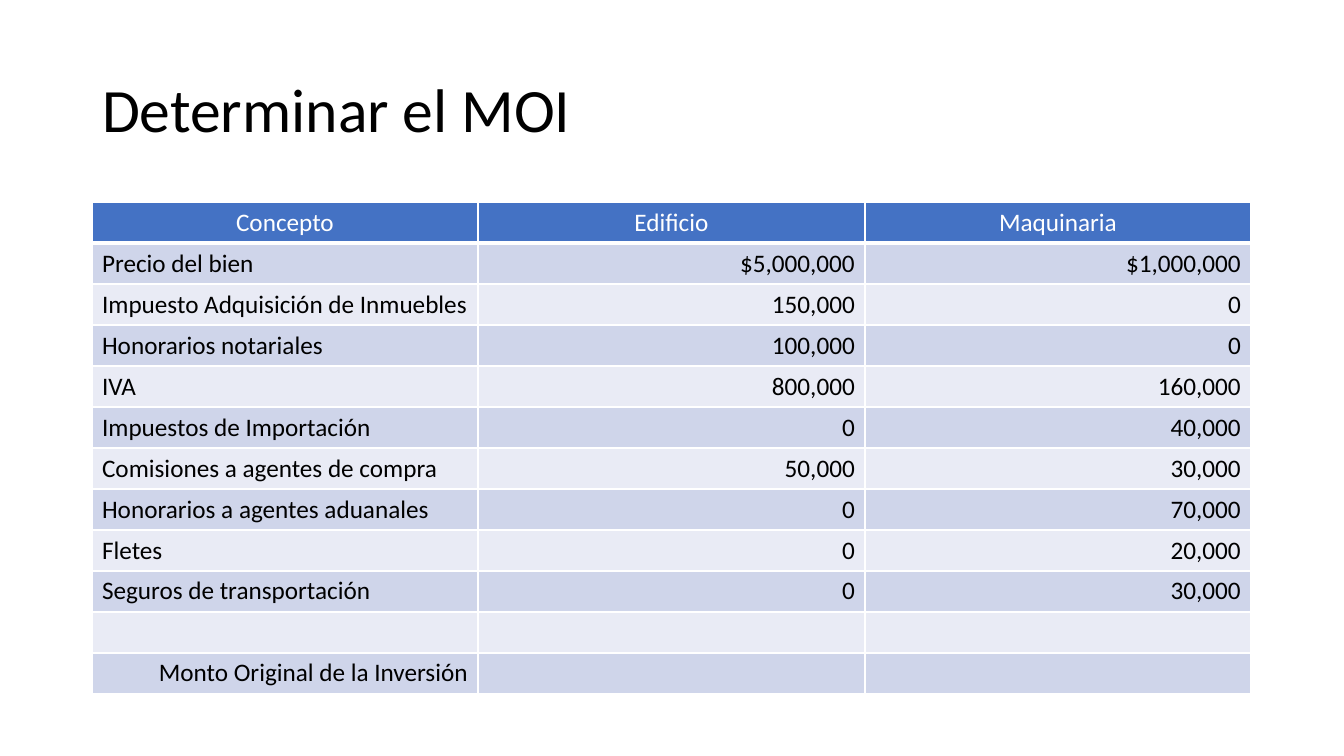
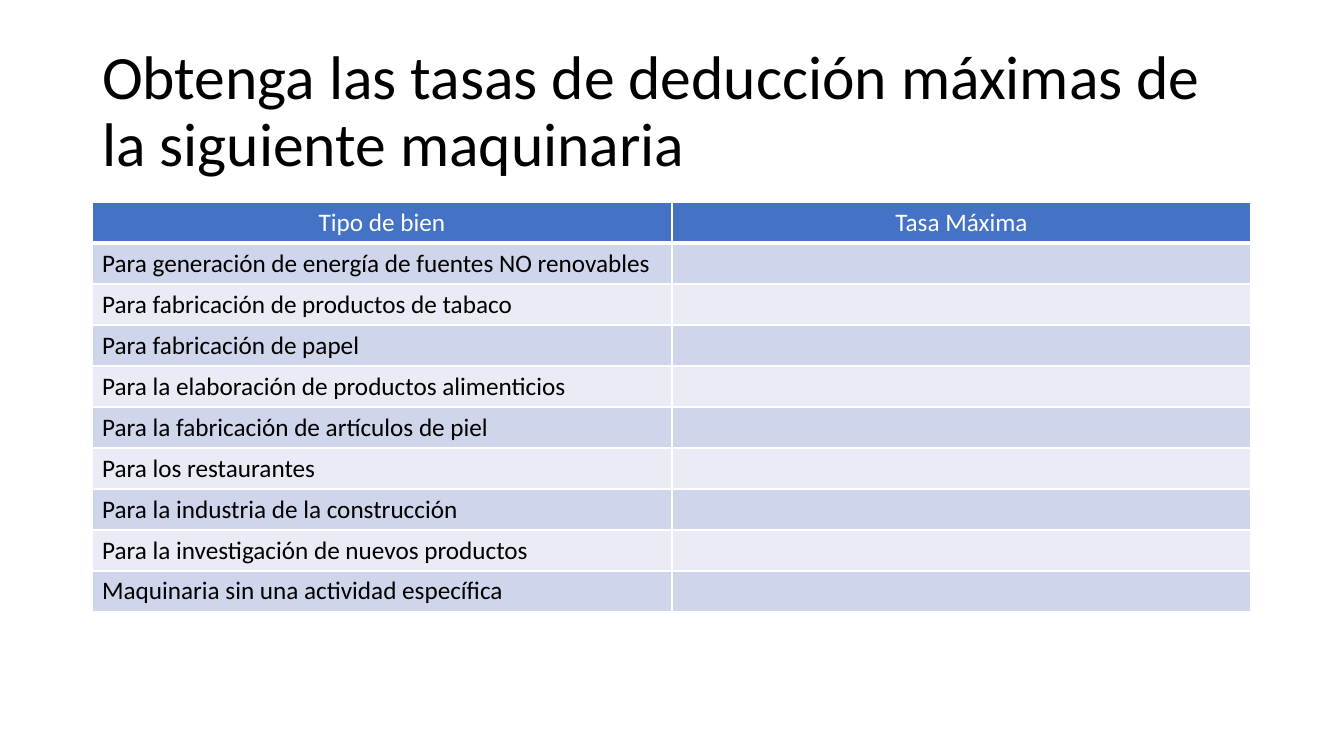
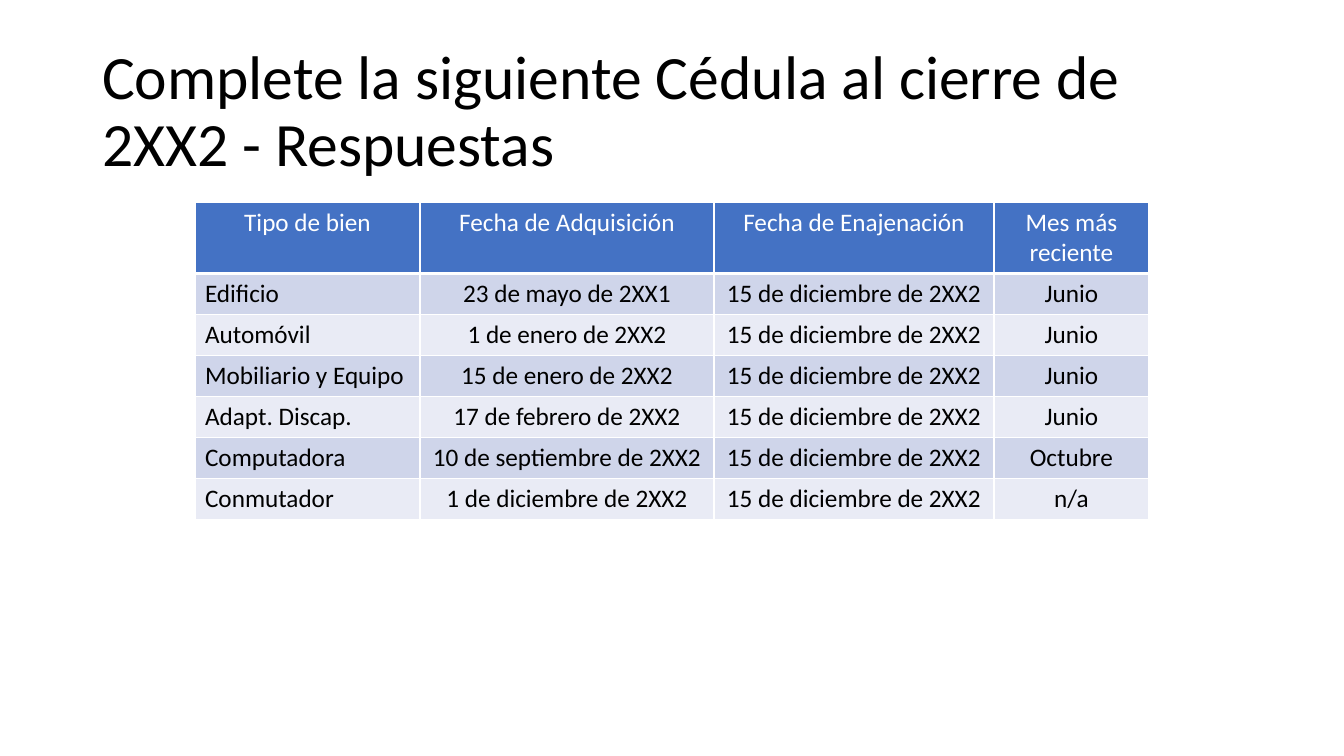
from dataclasses import dataclass
from lxml.etree import SubElement
from pptx import Presentation
from pptx.dml.color import RGBColor as Rgb
from pptx.enum.text import MSO_ANCHOR as Anchor, MSO_AUTO_SIZE as AutoSize, PP_ALIGN as Align
from pptx.oxml.ns import qn
from pptx.util import Pt

EMU_PER_PX = 914400 / 100.8
TITLE_ONLY = 5


def px(length):
    return round(length * EMU_PER_PX)


def apply(target, formats):
    for name, value in formats.items():
        setattr(target, name, value)


@dataclass(frozen=True)
class Theme:
    font: str = "Calibri"
    title_size: int = 44
    table_size: int = 18
    text: str = "000000"
    header_text: str = "FFFFFF"
    header_fill: str = "4472C4"
    bands: tuple = ("CFD5EA", "E9EBF5")
    grid: str = "FFFFFF"
    grid_width: int = 1
    header_rule: int = 3


class Deck:
    title_box = (92, 40, 1159, 146)
    table_top = 202
    row_height = 41

    def __init__(self, theme):
        self.theme = theme
        self.presentation = Presentation()
        apply(self.presentation, {"slide_width": px(1344), "slide_height": px(756)})
        self.slide = None

    def style_font(self, font, size, color):
        apply(font, {"name": self.theme.font, "size": Pt(size), "bold": False})
        font.color.rgb = Rgb.from_string(color)

    def new_slide(self, heading):
        layout = self.presentation.slide_layouts[TITLE_ONLY]
        self.slide = self.presentation.slides.add_slide(layout)
        title = self.slide.shapes.title
        apply(title, dict(zip(("left", "top", "width", "height"), map(px, self.title_box))))
        frame = title.text_frame
        frame.text = heading
        apply(frame, {"word_wrap": True, "auto_size": AutoSize.NONE,
                      "vertical_anchor": Anchor.MIDDLE})
        paragraph = frame.paragraphs[0]
        apply(paragraph, {"alignment": Align.LEFT, "line_spacing": 0.9})
        self.style_font(paragraph.font, self.theme.title_size, self.theme.text)

    def borders(self, cell, bottom):
        properties = cell._tc.get_or_add_tcPr()
        widths = {"L": self.theme.grid_width, "R": self.theme.grid_width,
                  "T": self.theme.grid_width, "B": bottom}
        for position, (side, width) in enumerate(widths.items()):
            line = SubElement(properties, qn(f"a:ln{side}"), w=str(Pt(width)))
            color = SubElement(SubElement(line, qn("a:solidFill")), qn("a:srgbClr"))
            color.set("val", self.theme.grid)
            properties.insert(position, line)

    def cell(self, cell, text, alignment, fill, color, bottom):
        cell.fill.solid()
        cell.fill.fore_color.rgb = Rgb.from_string(fill)
        self.borders(cell, bottom)
        cell.text = text
        paragraph = cell.text_frame.paragraphs[0]
        paragraph.alignment = alignment
        self.style_font(paragraph.font, self.theme.table_size, color)

    def table(self, left, widths, rows, value_align, header_height=row_height, total=False):
        theme = self.theme
        heights = [header_height] + [self.row_height] * (len(rows) - 1)
        table = self.slide.shapes.add_table(
            len(rows), len(widths), px(left), px(self.table_top),
            px(sum(widths)), px(sum(heights))).table
        for column, width in zip(table.columns, widths):
            column.width = px(width)
        for index, (row, height, texts) in enumerate(zip(table.rows, heights, rows)):
            row.height = px(height)
            is_total = total and index == len(rows) - 1
            for column, (cell, text) in enumerate(zip(row.cells, texts)):
                if index == 0:
                    self.cell(cell, text, Align.CENTER, theme.header_fill,
                              theme.header_text, theme.header_rule)
                else:
                    alignment = value_align if column or is_total else Align.LEFT
                    self.cell(cell, text, alignment, theme.bands[(index - 1) % 2],
                              theme.text, theme.grid_width)


def main():
    deck = Deck(Theme())

    deck.new_slide("Determinar el MOI")
    investment = [
        ("Concepto", "Edificio", "Maquinaria"),
        ("Precio del bien", "$5,000,000", "$1,000,000"),
        ("Impuesto Adquisición de Inmuebles", "150,000", "0"),
        ("Honorarios notariales", "100,000", "0"),
        ("IVA", "800,000", "160,000"),
        ("Impuestos de Importación", "0", "40,000"),
        ("Comisiones a agentes de compra", "50,000", "30,000"),
        ("Honorarios a agentes aduanales", "0", "70,000"),
        ("Fletes", "0", "20,000"),
        ("Seguros de transportación", "0", "30,000"),
        ("", "", ""),
        ("Monto Original de la Inversión", "", ""),
    ]
    deck.table(92, [386, 387, 386], investment, Align.RIGHT, total=True)

    deck.new_slide("Obtenga las tasas de deducción máximas de la siguiente maquinaria")
    machinery = [
        "Para generación de energía de fuentes NO renovables",
        "Para fabricación de productos de tabaco",
        "Para fabricación de papel",
        "Para la elaboración de productos alimenticios",
        "Para la fabricación de artículos de piel",
        "Para los restaurantes",
        "Para la industria de la construcción",
        "Para la investigación de nuevos productos",
        "Maquinaria sin una actividad específica",
    ]
    rates = [("Tipo de bien", "Tasa Máxima")] + [(use, "") for use in machinery]
    deck.table(92, [580, 579], rates, Align.LEFT)

    deck.new_slide("Complete la siguiente Cédula al cierre de 2XX2 - Respuestas")
    assets = [
        ("Edificio", "23 de mayo de 2XX1", "Junio"),
        ("Automóvil", "1 de enero de 2XX2", "Junio"),
        ("Mobiliario y Equipo", "15 de enero de 2XX2", "Junio"),
        ("Adapt. Discap.", "17 de febrero de 2XX2", "Junio"),
        ("Computadora", "10 de septiembre de 2XX2", "Octubre"),
        ("Conmutador", "1 de diciembre de 2XX2", "n/a"),
    ]
    sale_date = "15 de diciembre de 2XX2"
    schedule = [("Tipo de bien", "Fecha de Adquisición", "Fecha de Enajenación",
                 "Mes más reciente")]
    schedule += [(asset, bought, sale_date, month) for asset, bought, month in assets]
    deck.table(195, [225, 294, 280, 155], schedule, Align.CENTER, header_height=71)

    deck.presentation.save("out.pptx")


if __name__ == "__main__":
    main()
